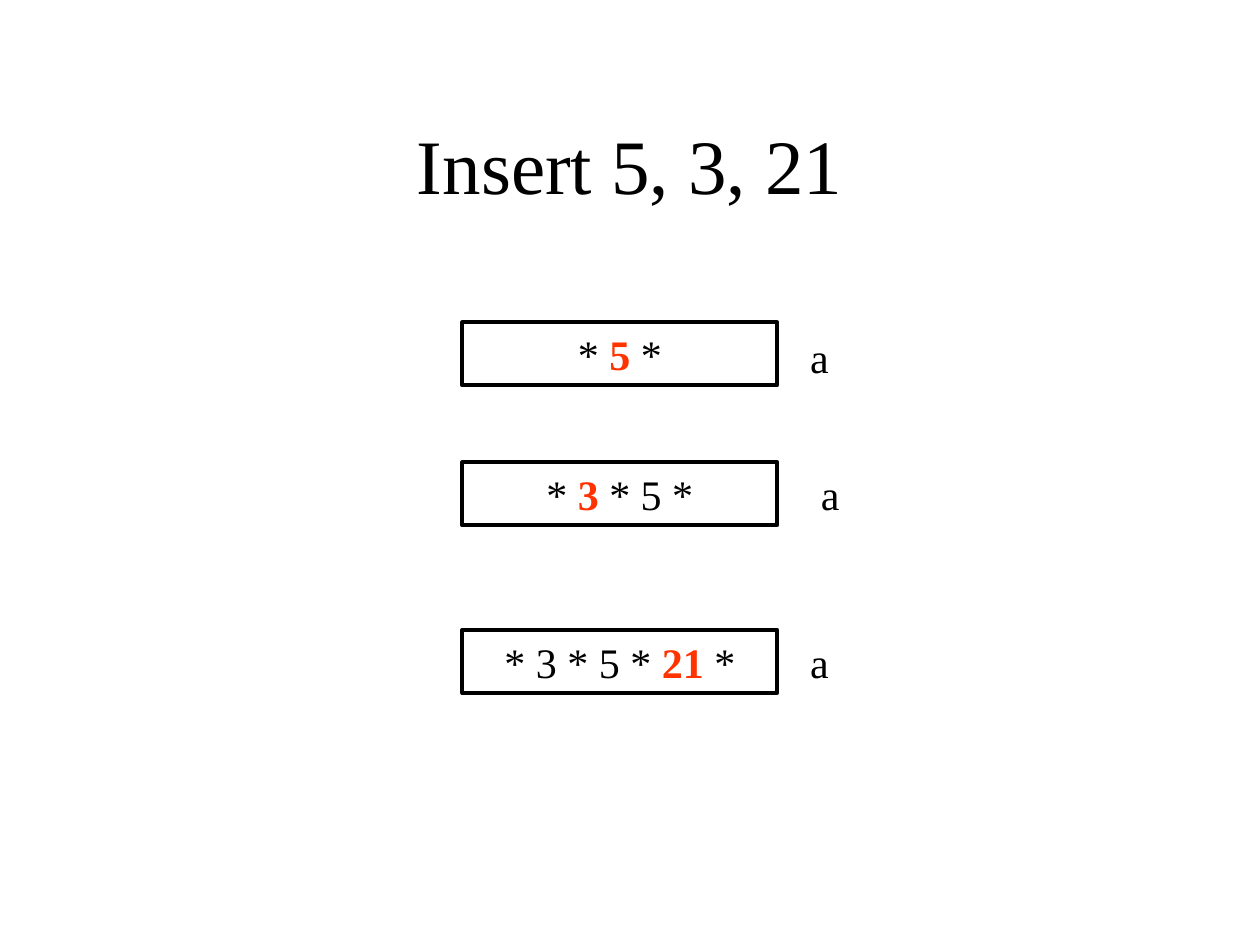
from pptx import Presentation
from pptx.dml.color import RGBColor
from pptx.enum.shapes import MSO_SHAPE as Preset
from pptx.enum.text import MSO_ANCHOR as Anchor, MSO_AUTO_SIZE as AutoSize, PP_ALIGN as Align
from pptx.util import Cm, Pt

BLACK, ORANGE = "000000", "FF3300"
NODE_LEFT, NODE_WIDTH, ROW_HEIGHT = 9.32, 6.35, 1.27


def color(value):
    return RGBColor.from_string(value)


def add_run(paragraph, text, size=24, ink=BLACK, bold=False):
    run = paragraph.add_run()
    run.text = text
    run.font.name = "Times New Roman"
    run.font.size = Pt(size)
    run.font.bold = bold
    run.font.color.rgb = color(ink)


def prepare_frame(frame, align):
    frame.word_wrap = True
    frame.auto_size = AutoSize.SHAPE_TO_FIT_TEXT
    frame.vertical_anchor = Anchor.TOP
    frame.paragraphs[0].alignment = align
    return frame.paragraphs[0]


def add_title(slide, text):
    title = slide.shapes.title
    title.left, title.top, title.width, title.height = Cm(1.9), Cm(1.7), Cm(21.6), Cm(3.18)
    title.text_frame.vertical_anchor = Anchor.MIDDLE
    heading = title.text_frame.paragraphs[0]
    heading.alignment = Align.CENTER
    add_run(heading, text, size=44)


def add_node(slide, top, before, inserted, after):
    node = slide.shapes.add_shape(
        Preset.RECTANGLE, Cm(NODE_LEFT), Cm(top), Cm(NODE_WIDTH), Cm(ROW_HEIGHT))
    node.shadow.inherit = False
    node.fill.background()
    node.line.color.rgb = color(BLACK)
    node.line.width = Pt(2.25)
    keys = prepare_frame(node.text_frame, Align.CENTER)
    add_run(keys, before)
    add_run(keys, inserted, ink=ORANGE, bold=True)
    add_run(keys, after)


def add_label(slide, left, top, text):
    label = slide.shapes.add_textbox(Cm(left), Cm(top), Cm(ROW_HEIGHT), Cm(ROW_HEIGHT))
    add_run(prepare_frame(label.text_frame, Align.LEFT), text)


def main():
    deck = Presentation()
    deck.slide_width, deck.slide_height = Cm(25.4), Cm(19.05)
    slide = deck.slides.add_slide(deck.slide_layouts[5])
    add_title(slide, "Insert 5, 3, 21")
    steps = [
        (6.5, ("* ", "5", " *"), 16.08, 6.56),
        (9.32, ("* ", "3", " * 5 *"), 16.3, 9.32),
        (12.7, ("* 3 * 5 * ", "21", " *"), 16.08, 12.7),
    ]
    for node_top, keys, label_left, label_top in steps:
        add_node(slide, node_top, *keys)
        add_label(slide, label_left, label_top, "a")
    deck.save("out.pptx")


if __name__ == "__main__":
    main()
